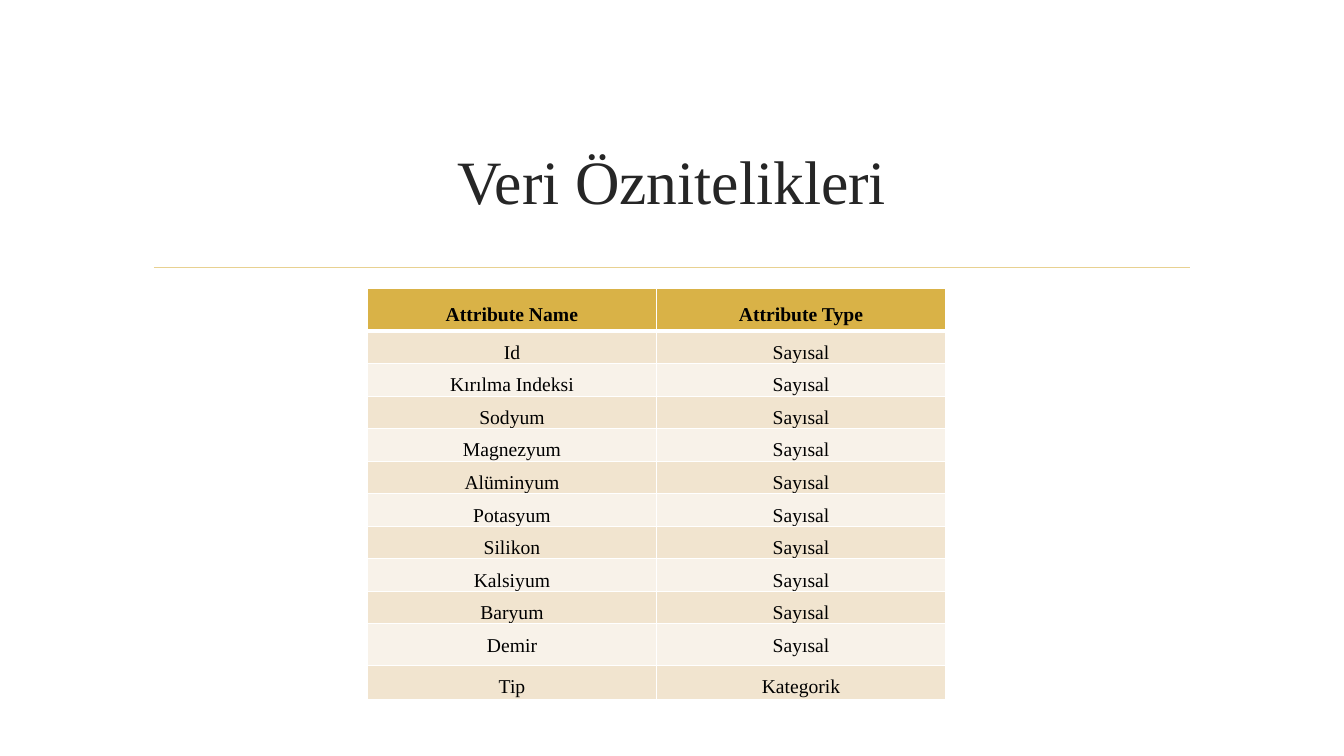
from lxml.etree import SubElement
from pptx import Presentation
from pptx.dml.color import RGBColor
from pptx.enum.shapes import MSO_CONNECTOR as Connector
from pptx.enum.text import MSO_ANCHOR as Anchor, PP_ALIGN as Align
from pptx.oxml.ns import qn
from pptx.util import Pt

COLORS = {
    "title": "262626",
    "rule": "E8D191",
    "text": "000000",
    "header": "D9B247",
    "odd": "F1E4CF",
    "even": "F8F2E9",
    "border": "FFFFFF",
}
FONT = "Times New Roman"
NUMERIC = [
    "Id", "Kırılma Indeksi", "Sodyum", "Magnezyum", "Alüminyum", "Potasyum",
    "Silikon", "Kalsiyum", "Baryum", "Demir",
]
ROWS = [
    ("Attribute Name", "Attribute Type"),
    *((name, "Sayısal") for name in NUMERIC),
    ("Tip", "Kategorik"),
]
ROW_HEIGHTS = [21.6] * 10 + [29.5, 24.5]


def color(name):
    return RGBColor.from_string(COLORS[name])


def apply(target, values):
    for name, value in values.items():
        setattr(target, name, value)


def write(frame, text, para_format, font_format, color_name):
    para = frame.paragraphs[0]
    apply(para, {"alignment": Align.CENTER, **para_format})
    span = para.add_run()
    span.text = text
    apply(span.font, {"name": FONT, **font_format})
    span.font.color.rgb = color(color_name)


def add_heading(page, left, top, width, height):
    title = page.shapes.title
    apply(title, {"left": Pt(left), "top": Pt(top), "width": Pt(width), "height": Pt(height)})
    apply(title.text_frame, {"vertical_anchor": Anchor.MIDDLE, "word_wrap": True})
    write(title.text_frame, "Veri Öznitelikleri", {}, {"size": Pt(44)}, "title")

    rule_left, rule_top = left + 8, top + height + 11
    rule = page.shapes.add_connector(
        Connector.STRAIGHT, Pt(rule_left), Pt(rule_top), Pt(rule_left + 740), Pt(rule_top))
    rule.line.width = Pt(1.25)
    rule.line.color.rgb = color("rule")
    SubElement(rule.element.spPr, qn("a:effectLst"))


def add_borders(cell, bottom_width):
    properties = cell._tc.get_or_add_tcPr()
    widths = {"a:lnL": 1, "a:lnR": 1, "a:lnT": 1, "a:lnB": bottom_width}
    for position, (tag, width) in enumerate(widths.items()):
        border = properties.makeelement(qn(tag), {"w": str(Pt(width))})
        fill = SubElement(border, qn("a:solidFill"))
        SubElement(fill, qn("a:srgbClr"), val=COLORS["border"])
        properties.insert(position, border)


def add_attribute_table(page, left, top, width, height):
    table = page.shapes.add_table(
        len(ROWS), 2, Pt(left), Pt(top), Pt(width), Pt(height)).table
    for row, row_height in zip(table.rows, ROW_HEIGHTS):
        row.height = Pt(row_height)
    for row_index, texts in enumerate(ROWS):
        is_header = row_index == 0
        fill_name = "header" if is_header else "odd" if row_index % 2 else "even"
        for column_index, text in enumerate(texts):
            cell = table.cell(row_index, column_index)
            cell.fill.solid()
            cell.fill.fore_color.rgb = color(fill_name)
            if not is_header:
                apply(cell, {"margin_left": Pt(5), "margin_right": Pt(5),
                             "margin_top": 0, "margin_bottom": 0})
            write(cell.text_frame, text, {"line_spacing": 1.5},
                  {"size": Pt(14), "bold": is_header}, "text")
            add_borders(cell, 3 if is_header or row_index == 0 else 1)


def main():
    deck = Presentation()
    apply(deck, {"slide_width": Pt(960), "slide_height": Pt(540)})
    page = deck.slides.add_slide(deck.slide_layouts[5])
    add_heading(page, 102, 77, 756, 103)
    add_attribute_table(page, 262.5, 206, 413, sum(ROW_HEIGHTS))
    deck.save("out.pptx")


if __name__ == "__main__":
    main()
